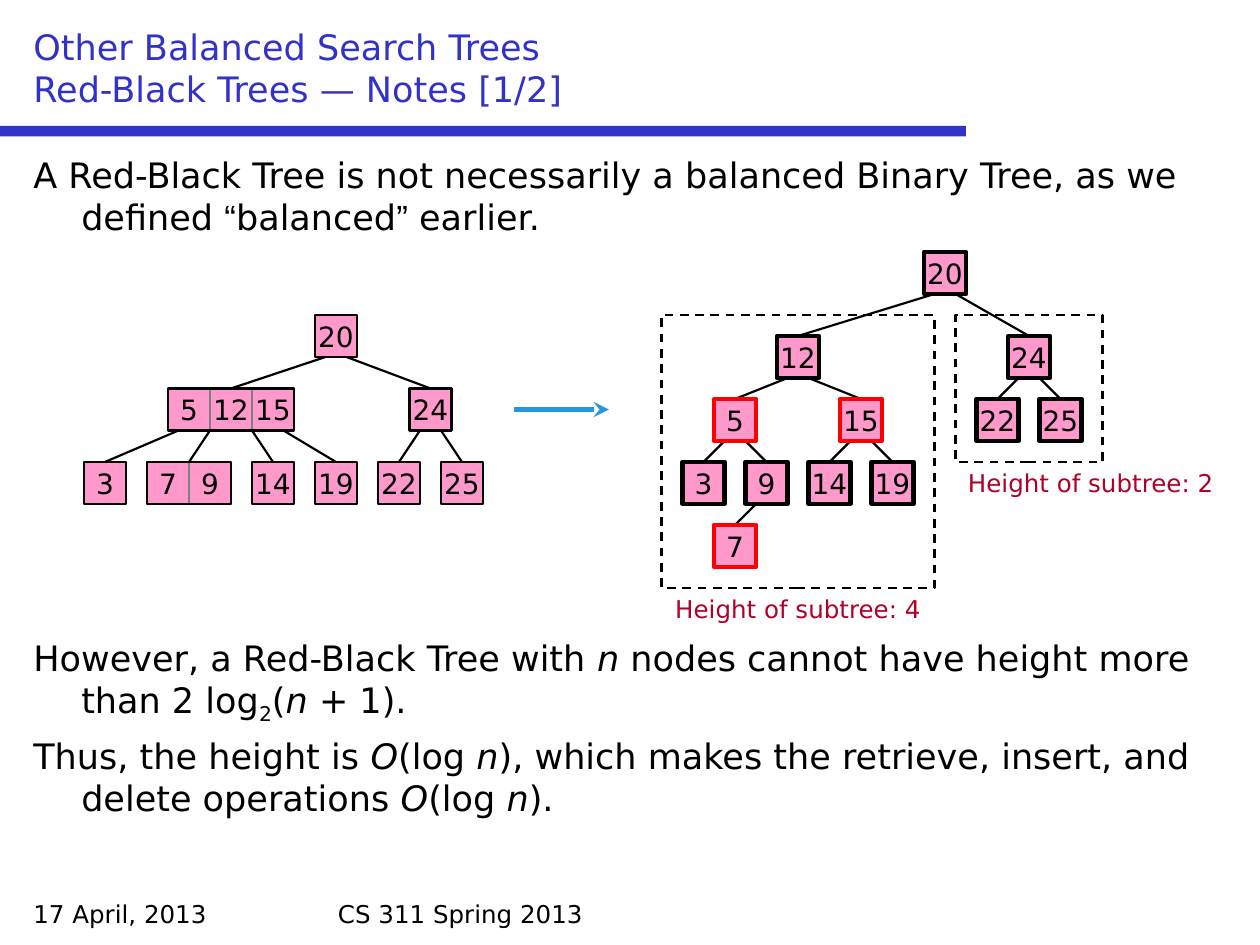
from typing import NamedTuple

from lxml.etree import SubElement
from pptx import Presentation
from pptx.dml.color import RGBColor as RGB
from pptx.enum.dml import MSO_LINE
from pptx.enum.shapes import MSO_CONNECTOR as Connector, MSO_SHAPE as Shape
from pptx.enum.text import MSO_ANCHOR as Anchor, PP_ALIGN as Align
from pptx.oxml.ns import qn
from pptx.util import Inches, Pt

BLACK = RGB(0x00, 0x00, 0x00)
GRAY = RGB(0x80, 0x80, 0x80)
RED = RGB(0xFF, 0x00, 0x00)
PINK = RGB(0xFF, 0x99, 0xCC)
INDIGO = RGB(0x32, 0x32, 0xC8)
SKY = RGB(0x28, 0x96, 0xDC)
CRIMSON = RGB(0xAF, 0x00, 0x28)

COLUMNS, ROWS = 120, 90  # twelve grid units to the inch
CELL = 4  # side of one key box, in grid units
THIN, NORMAL, THICK = 0.75, 1.25, 2.5

# Where edges leave the bottom of a node, from its middle, by number of children
EDGE_STARTS = {0: (), 1: (-1,), 2: (-1, 1), 4: (-5, -2, 2, 5)}


class Node(NamedTuple):
    keys: tuple
    middle: int
    children: tuple = ()
    color: RGB = BLACK


class SlideBuilder:
    font = "DejaVu Sans"

    def __init__(self, deck):
        self.slide = deck.slides.add_slide(deck.slide_layouts[6])
        self.unit = deck.slide_width / COLUMNS

    def grid(self, *lengths):
        return [round(length * self.unit) for length in lengths]

    def fill_para(self, para, content, size, color=BLACK):
        """Content is a string, or (text, style) spans: italic, sub, quote or none."""
        if isinstance(content, str):
            para.text = content
        else:
            for text, style in content:
                span = para.add_run()
                span.text = text
                if style == "italic":
                    span.font.italic = True
                elif style == "sub":
                    span.font._element.set("baseline", "-25000")
                elif style == "quote":
                    span.font.name = "Arial"
        para.font.name = self.font
        para.font.size = Pt(size)
        para.font.color.rgb = color

    def text(self, place, paras, size, color=BLACK, anchor=Anchor.TOP,
             align=Align.LEFT, hanging=0):
        frame = self.slide.shapes.add_textbox(*self.grid(*place)).text_frame
        frame.word_wrap = True
        frame.vertical_anchor = anchor
        for index, content in enumerate(paras):
            para = frame.add_paragraph() if index else frame.paragraphs[0]
            para.alignment = align
            if index:
                para.space_before = Pt(5)
            if hanging:
                props = para._p.get_or_add_pPr()
                props.set("marL", str(Inches(hanging)))
                props.set("indent", str(-Inches(hanging)))
            self.fill_para(para, content, size, color)

    def box(self, place, fill=None, line=None, width=NORMAL, dash=None, label=None):
        box = self.slide.shapes.add_shape(Shape.RECTANGLE, *self.grid(*place))
        box.shadow.inherit = False
        if fill is None:
            box.fill.background()
        else:
            box.fill.solid()
            box.fill.fore_color.rgb = fill
        if line is None:
            box.line.fill.background()
        else:
            box.line.color.rgb = line
            box.line.width = Pt(width)
            if dash:
                box.line.dash_style = dash
        if label:
            frame = box.text_frame
            frame.word_wrap = False
            frame.vertical_anchor = Anchor.MIDDLE
            para = frame.paragraphs[0]
            para.alignment = Align.CENTER
            self.fill_para(para, label, 16)

    def line(self, start, end, color=BLACK, width=NORMAL, arrow=False):
        line = self.slide.shapes.add_connector(
            Connector.STRAIGHT, *self.grid(*start, *end))
        line.line.color.rgb = color
        line.line.width = Pt(width)
        if arrow:
            SubElement(line.line._get_or_add_ln(), qn("a:tailEnd"), type="stealth")
        SubElement(line._element.spPr, qn("a:effectLst"))

    def node(self, node, top, border):
        width = CELL * len(node.keys)
        left = node.middle - width / 2
        single = len(node.keys) == 1
        for index, key in enumerate(node.keys):
            self.box((left + index * CELL, top, CELL, CELL), PINK,
                     node.color if single else GRAY,
                     border if single else THIN, label=str(key))
        if not single:
            self.box((left, top, width, CELL), line=node.color, width=border)

    def tree(self, node, tops, border):
        """Draw the edges, then the subtrees, then the node over its edges."""
        top, *below = tops
        for child, offset in zip(node.children, EDGE_STARTS[len(node.children)]):
            self.line((node.middle + offset, top + CELL), (child.middle, below[0]))
            self.tree(child, below, border)
        self.node(node, top, border)


def leaf(key, middle, color=BLACK):
    return Node((key,), middle, (), color)


TWO_THREE_FOUR_TREE = Node((20,), 32, (
    Node((5, 12, 15), 22, (
        leaf(3, 10), Node((7, 9), 18), leaf(14, 26), leaf(19, 32))),
    Node((24,), 41, (leaf(22, 38), leaf(25, 44))),
))

RED_BLACK_TREE = Node((20,), 90, (
    Node((12,), 76, (
        Node((5,), 70, (leaf(3, 67), Node((9,), 73, (leaf(7, 70, RED),))), RED),
        Node((15,), 82, (leaf(14, 79), leaf(19, 85)), RED))),
    Node((24,), 98, (leaf(22, 95), leaf(25, 101))),
))

BALANCE_NOTE = [
    ("A Red-Black Tree is not necessarily a balanced Binary Tree, as we defined ", ""),
    ("“", "quote"), ("balanced", ""), ("”", "quote"), (" earlier.", ""),
]
HEIGHT_NOTE = [
    ("However, a Red-Black Tree with ", ""), ("n", "italic"),
    (" nodes cannot have height more than 2 log", ""), ("2", "sub"),
    ("(", ""), ("n", "italic"), (" + 1).", ""),
]
COST_NOTE = [
    ("Thus, the height is ", ""), ("O", "italic"), ("(log ", ""), ("n", "italic"),
    ("), which makes the retrieve, insert, and delete operations ", ""),
    ("O", "italic"), ("(log ", ""), ("n", "italic"), (").", ""),
]


def main():
    deck = Presentation()
    deck.slide_width, deck.slide_height = Inches(COLUMNS / 12), Inches(ROWS / 12)
    page = SlideBuilder(deck)

    # Title, rule and footer
    page.box((0, 12, 92, 1), INDIGO)
    page.text((2, 2, 116, 9),
              ["Other Balanced Search Trees\nRed-Black Trees — Notes [1/2]"],
              20, INDIGO, Anchor.BOTTOM)
    page.text((2, 85, 28, 4), ["17 April, 2013"], 14)
    page.text((31, 85, 58, 4), ["CS 311 Spring 2013"], 14)

    # Notes above and below the trees
    page.text((2, 14, 116, 8), [BALANCE_NOTE], 20, hanging=0.38)
    page.text((2, 60, 116, 24), [HEIGHT_NOTE, COST_NOTE], 20, hanging=0.38)

    # The two equivalent trees
    page.tree(TWO_THREE_FOUR_TREE, (30, 37, 44), NORMAL)
    page.line((49, 39), (58, 39), SKY, 3, arrow=True)
    page.tree(RED_BLACK_TREE, (24, 32, 38, 44, 50), THICK)

    # Subtree outlines and their heights
    for left, side in ((63, 26), (91, 14)):
        page.box((left, 30, side, side), line=BLACK, dash=MSO_LINE.DASH)
    page.text((62, 56, 28, 4), ["Height of subtree: 4"], 14, CRIMSON,
              align=Align.CENTER)
    page.text((91, 44, 27, 4), ["Height of subtree: 2"], 14, CRIMSON)

    deck.save("out.pptx")


if __name__ == "__main__":
    main()
